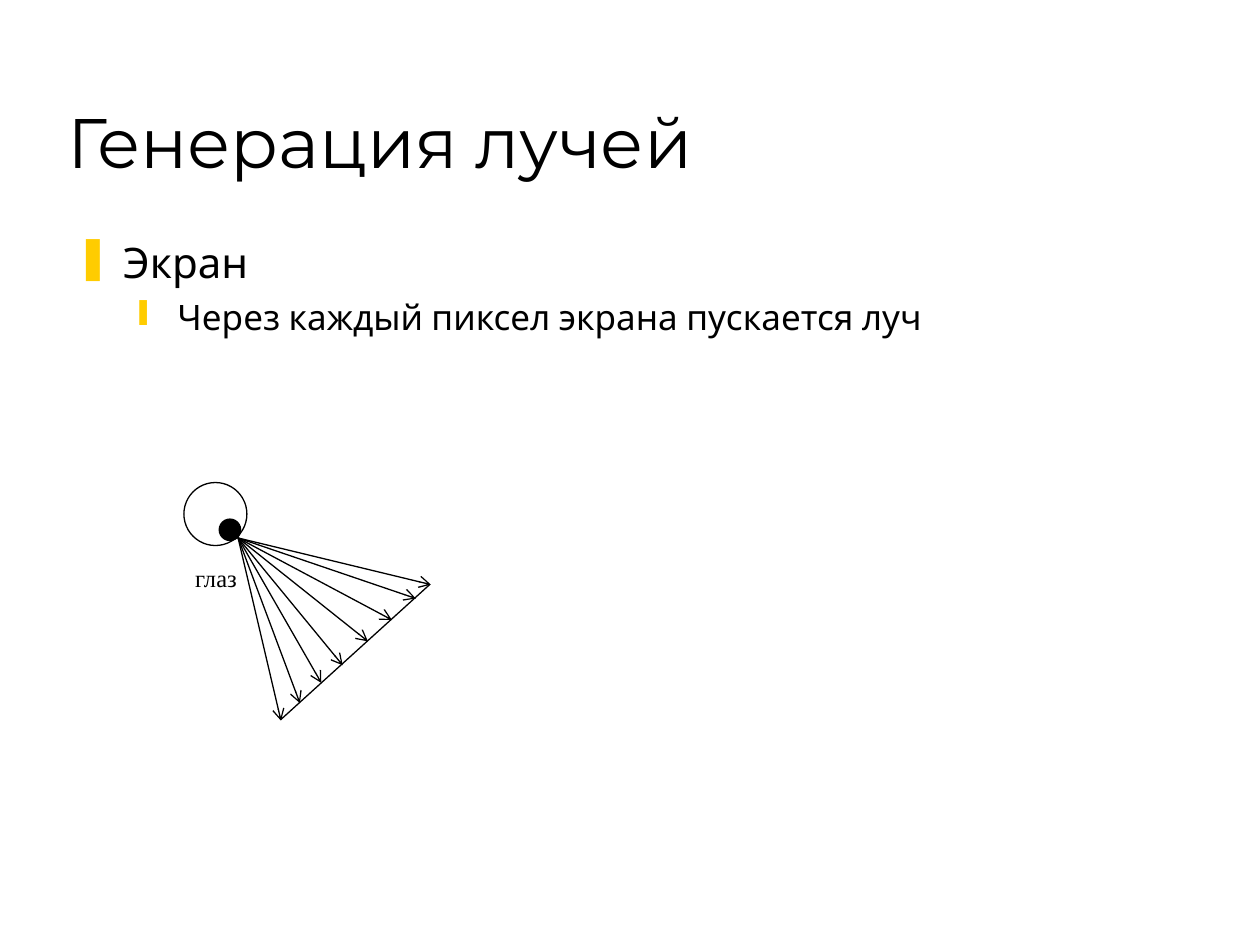
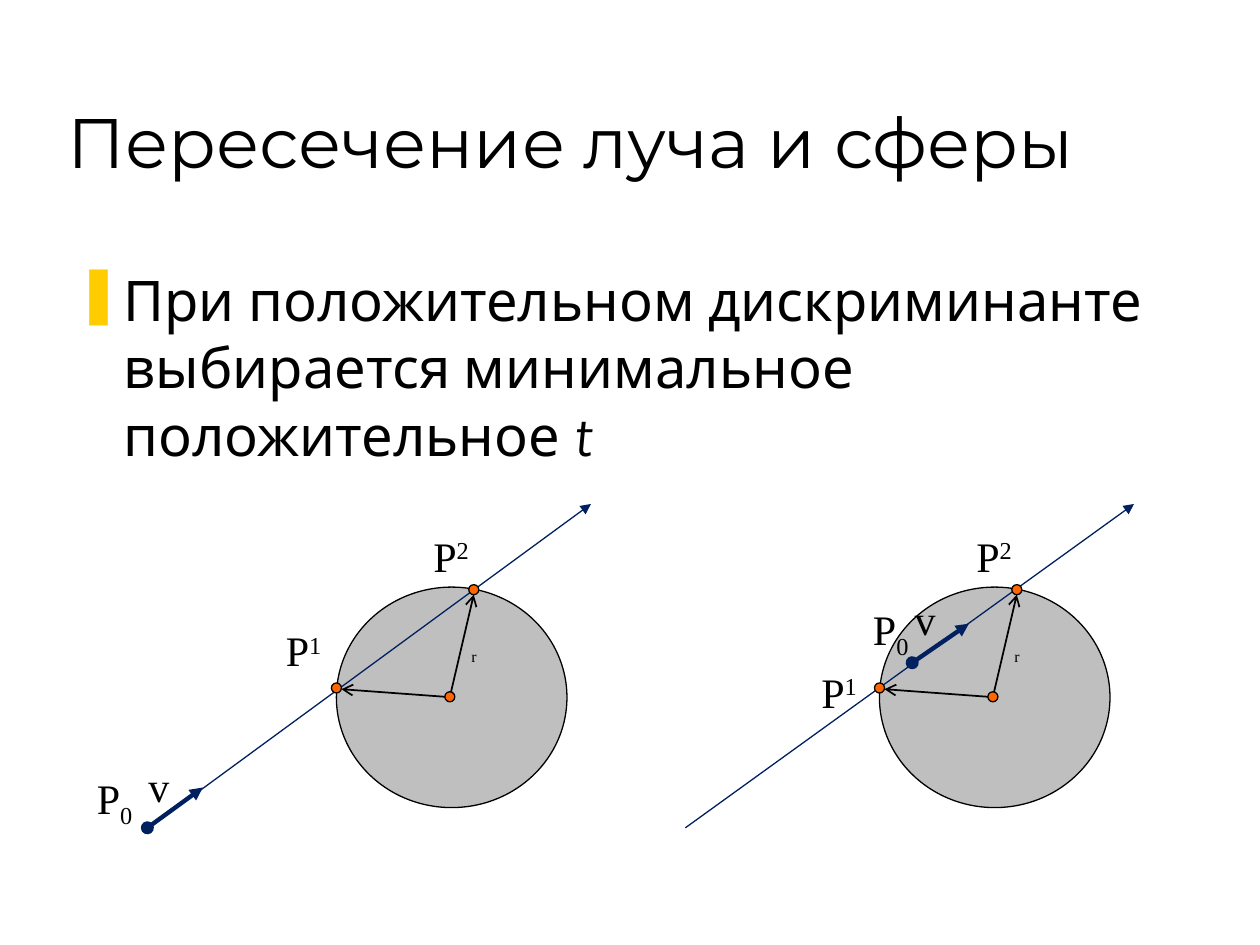
from lxml import etree
from pptx import Presentation
from pptx.dml.color import RGBColor
from pptx.enum.shapes import MSO_CONNECTOR, MSO_SHAPE
from pptx.enum.text import MSO_ANCHOR, PP_ALIGN
from pptx.oxml.ns import qn
from pptx.util import Inches, Pt

STRAIGHT = MSO_CONNECTOR.STRAIGHT
OVAL = MSO_SHAPE.OVAL
TOP, MIDDLE, BOTTOM = MSO_ANCHOR.TOP, MSO_ANCHOR.MIDDLE, MSO_ANCHOR.BOTTOM
LEFT, CENTER = PP_ALIGN.LEFT, PP_ALIGN.CENTER

COLORS = {"text": "000000", "bullet": "FFCC00", "sphere": "BFBFBF",
          "ray": "002060", "point": "FF6600"}
TITLE_FONT, BODY_FONT, LABEL_FONT = "Montserrat", "Karla", "Times New Roman"
TITLE_BOX = (0.44, 0.25, 8.5, 1.25)

# Bullet levels: symbol, left margin, hanging indent
LEVELS = [("❚", 0.38, 0.38), ("❙", 0.81, 0.31)]

# Ray generation: body paragraphs are (level, size, space before, runs),
# runs are (text, extra run attributes)
GENERATION = {
    "title": "Генерация лучей",
    "body_box": (0.5, 1.83, 8.94, 1.42),
    "body": [(0, 24, 6, [("Экран", {})]),
             (1, 20, 5, [("Через каждый пиксел экрана пускается луч", {})])],
}
EYE_BALL = (1.46, 3.83, 0.5, 0.5)
PUPIL = (1.74, 4.12, 0.17, 0.17)
EYE_LABEL = ("глаз", (1.38, 4.42, 0.67, 0.34))
RAY_ORIGIN = (1.89, 4.27)
SCREEN = ((2.23, 5.71), (3.41, 4.64))
PIXELS = [(2.23, 5.72), (2.38, 5.58), (2.55, 5.42), (2.72, 5.28),
          (2.92, 5.09), (3.11, 4.92), (3.3, 4.75), (3.42, 4.64)]

# Ray and sphere intersection
INTERSECTION = {
    "title": "Пересечение луча и сферы",
    "body_box": (0.5, 2.06, 8.94, 4.56),
    "body": [(0, 32, 8, [
        ("При положительном дискриминанте выбирается минимальное положительное ", {}),
        ("t", {"i": "1"})])],
}
SUPERSCRIPT, SUBSCRIPT = {"baseline": "30000"}, {"baseline": "-25000"}
LABEL_RUNS = {"P1": [("P", {}), ("1", SUPERSCRIPT)],
              "P2": [("P", {}), ("2", SUPERSCRIPT)],
              "P0": [("P", {}), ("0", SUBSCRIPT)],
              "v": [("v", {})]}
LABEL_SIZES = {"P1": (0.58, 0.5), "P2": (0.58, 0.5),
               "P0": (0.58, 0.56), "v": (0.42, 0.5)}

# Parts found in both scenes, placed relative to the sphere's left edge
SPHERE_TOP, SPHERE_SIZE = 4.66, (1.83, 1.75)
CENTER_POINT, HIT_1, HIT_2 = (0.9, 5.53), (0, 5.46), (1.09, 4.68)
RADII = [((0.86, 5.53), (0.04, 5.47)), ((0.91, 5.49), (1.09, 4.72))]
RADIUS_LABEL = (1.0, 5.08, 0.17, 0.25)
P2_LABEL = (0.67, 4.16)
RAY_END = (2.02, 4.0)
POINT_RADIUS = 0.04

# Ray starting outside the sphere, then inside it
SCENES = [
    {"sphere_left": 2.67, "ray_start": (1.17, 6.58),
     "vector": ((1.17, 6.57), (1.61, 6.25)),
     "labels": {"P1": (2.17, 4.91), "P0": (0.67, 6.08), "v": (1.08, 5.99)}},
    {"sphere_left": 6.98, "ray_start": (5.44, 6.57),
     "vector": ((7.24, 5.26), (7.69, 4.95)),
     "labels": {"P1": (6.42, 5.24), "P0": (6.83, 4.74), "v": (7.16, 4.66)}},
]


def rgb(name):
    return RGBColor.from_string(COLORS[name])


def add_runs(paragraph, runs, font, size):
    for text, attributes in runs:
        run = paragraph.add_run()
        run.text = text
        run.font.name = font
        run.font.size = Pt(size)
        run.font.color.rgb = rgb("text")
        for key, value in attributes.items():
            run.font._element.set(key, value)


def add_text_frame(shapes, box, anchor=TOP, wrap=True):
    frame = shapes.add_textbox(*map(Inches, box)).text_frame
    frame.word_wrap = wrap
    frame.vertical_anchor = anchor
    return frame


def add_text(shapes, box, runs, font, size, anchor=TOP, align=LEFT, wrap=True):
    paragraph = add_text_frame(shapes, box, anchor, wrap).paragraphs[0]
    paragraph.alignment = align
    add_runs(paragraph, runs, font, size)


def set_bullet(paragraph, level):
    symbol, margin, hanging = LEVELS[level]
    properties = paragraph._p.get_or_add_pPr()
    properties.set("marL", str(Inches(margin)))
    properties.set("indent", str(-Inches(hanging)))
    color = etree.SubElement(properties, qn("a:buClr"))
    etree.SubElement(color, qn("a:srgbClr"), val=COLORS["bullet"])
    etree.SubElement(properties, qn("a:buChar"), char=symbol)


def add_body(shapes, box, items):
    frame = add_text_frame(shapes, box)
    for index, (level, size, space, runs) in enumerate(items):
        paragraph = frame.add_paragraph() if index else frame.paragraphs[0]
        paragraph.level = level
        paragraph.space_before = Pt(space)
        set_bullet(paragraph, level)
        add_runs(paragraph, runs, BODY_FONT, size)


def add_ellipse(shapes, box, fill=None):
    shape = shapes.add_shape(OVAL, *map(Inches, box))
    shape.shadow.inherit = False
    if fill:
        shape.fill.solid()
        shape.fill.fore_color.rgb = rgb(fill)
    else:
        shape.fill.background()
    shape.line.color.rgb = rgb("text")
    shape.line.width = Pt(0.75)


def add_line(shapes, start, end, color="text", width=0.75, head=None, tail=None):
    line = shapes.add_connector(STRAIGHT, *map(Inches, (*start, *end)))
    line.line.color.rgb = rgb(color)
    line.line.width = Pt(width)
    outline = line.line._get_or_add_ln()
    for tag, kind in (("a:headEnd", head), ("a:tailEnd", tail)):
        if kind:
            etree.SubElement(outline, qn(tag), type=kind)
    etree.SubElement(line._element.spPr, qn("a:effectLst"))


def add_slide(presentation, content):
    slide = presentation.slides.add_slide(presentation.slide_layouts[6])
    add_text(slide.shapes, TITLE_BOX, [(content["title"], {})],
             TITLE_FONT, 40, anchor=BOTTOM)
    add_body(slide.shapes, content["body_box"], content["body"])
    return slide


def draw_eye_and_screen(slide):
    eye = slide.shapes.add_group_shape().shapes
    add_ellipse(eye, EYE_BALL)
    add_ellipse(eye, PUPIL, "text")
    text, box = EYE_LABEL
    add_text(eye, box, [(text, {})], LABEL_FONT, 14, align=CENTER)
    add_line(slide.shapes, *SCREEN)
    for pixel in PIXELS:
        add_line(slide.shapes, RAY_ORIGIN, pixel, tail="arrow")


def draw_scene(slide, scene):
    shapes = slide.shapes.add_group_shape().shapes
    left = scene["sphere_left"]

    def place(point):
        return left + point[0], point[1]

    add_ellipse(shapes, (left, SPHERE_TOP, *SPHERE_SIZE), "sphere")

    # Ray and its direction vector
    add_line(shapes, scene["ray_start"], place(RAY_END), "ray", tail="triangle")
    add_line(shapes, *scene["vector"], "ray", 2.5, head="oval", tail="triangle")

    # Labels
    for name, position in {**scene["labels"], "P2": place(P2_LABEL)}.items():
        add_text(shapes, (*position, *LABEL_SIZES[name]), LABEL_RUNS[name],
                 LABEL_FONT, 24)
    add_text(shapes, (*place(RADIUS_LABEL), *RADIUS_LABEL[2:]), [("r", {})],
             LABEL_FONT, 9, MIDDLE, CENTER, wrap=False)

    # Radii and points
    for start, end in RADII:
        add_line(shapes, place(start), place(end), width=1, tail="arrow")
    for x, y in map(place, (CENTER_POINT, HIT_1, HIT_2)):
        add_ellipse(shapes, (x - POINT_RADIUS, y - POINT_RADIUS,
                             2 * POINT_RADIUS, 2 * POINT_RADIUS), "point")


def main():
    presentation = Presentation()
    presentation.slide_width, presentation.slide_height = Inches(10), Inches(7.5)
    draw_eye_and_screen(add_slide(presentation, GENERATION))
    intersection = add_slide(presentation, INTERSECTION)
    for scene in SCENES:
        draw_scene(intersection, scene)
    presentation.save("out.pptx")


if __name__ == "__main__":
    main()
